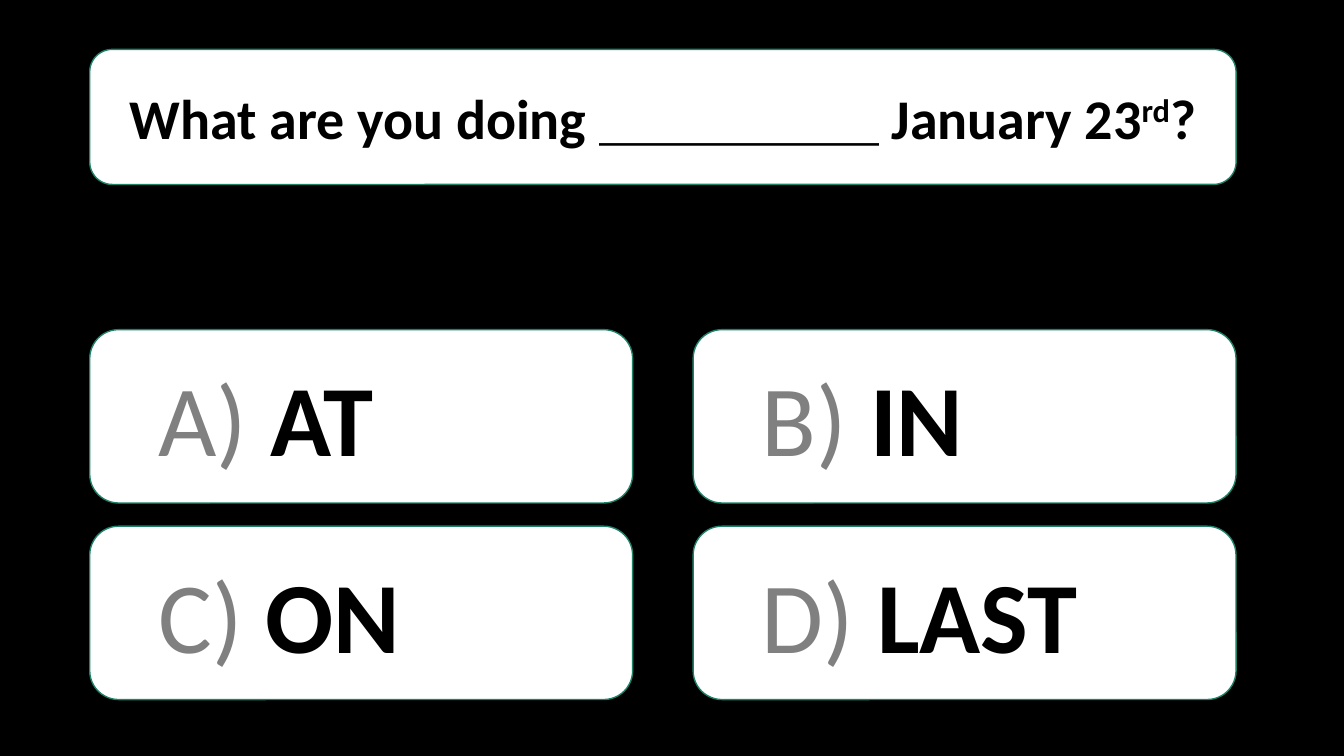
from pptx import Presentation
from pptx.dml.color import RGBColor
from pptx.enum.shapes import MSO_SHAPE as Shape
from pptx.enum.text import MSO_ANCHOR as Anchor, MSO_AUTO_SIZE as AutoSize, PP_ALIGN as Align
from pptx.util import Inches, Pt

COLORS = {"background": "000000", "card": "FFFFFF", "border": "1E8168",
          "letter": "808080", "text": "000000"}
FONT = "Calibri"
LEFT, WIDTH, COLUMN_GAP = 0.89, 11.37, 0.6
COLUMN_WIDTH = (WIDTH - COLUMN_GAP) / 2
QUESTION_TOP, QUESTION_HEIGHT = 0.49, 1.34
ANSWER_TOP, ANSWER_HEIGHT, ROW_STEP = 3.27, 1.72, 1.95
ANSWERS = ["AT", "IN", "ON", "LAST"]


def color(name):
    return RGBColor.from_string(COLORS[name])


class QuizSlide:
    def __init__(self, presentation):
        self.slide = presentation.slides.add_slide(presentation.slide_layouts[5])
        background = self.slide.background.fill
        background.solid()
        background.fore_color.rgb = color("background")

    def card(self, left, top, width, height):
        shape = self.slide.shapes.add_shape(
            Shape.ROUNDED_RECTANGLE, *map(Inches, (left, top, width, height)))
        shape.shadow.inherit = False
        shape.fill.solid()
        shape.fill.fore_color.rgb = color("card")
        shape.line.color.rgb = color("border")
        shape.line.width = Pt(1)
        shape.text_frame.vertical_anchor = Anchor.MIDDLE
        return shape

    def run(self, paragraph, text, size, color_name="text", bold=True, superscript=False):
        run = paragraph.add_run()
        run.text = text
        run.font.name = FONT
        run.font.size = Pt(size)
        run.font.bold = bold
        run.font.color.rgb = color(color_name)
        if superscript:
            run.font._element.set("baseline", "30000")

    def question(self, parts):
        """Lay the title over its card; parts are (text, superscript) pairs."""
        box = (LEFT, QUESTION_TOP, WIDTH, QUESTION_HEIGHT)
        self.card(*box)
        title = self.slide.shapes.title
        title.left, title.top, title.width, title.height = map(Inches, box)
        # Keep the title in front of its card
        self.slide.shapes._spTree.append(title._element)
        frame = title.text_frame
        frame.auto_size = AutoSize.NONE
        frame.word_wrap = True
        frame.vertical_anchor = Anchor.MIDDLE
        paragraph = frame.paragraphs[0]
        paragraph.alignment = Align.CENTER
        for text, superscript in parts:
            self.run(paragraph, text, 40, superscript=superscript)

    def answer(self, index, text):
        row, column = divmod(index, 2)
        shape = self.card(LEFT + column * (COLUMN_WIDTH + COLUMN_GAP),
                          ANSWER_TOP + row * ROW_STEP, COLUMN_WIDTH, ANSWER_HEIGHT)
        paragraph = shape.text_frame.paragraphs[0]
        paragraph.level = 1
        paragraph.alignment = Align.LEFT
        properties = paragraph._p.get_or_add_pPr()
        properties.set("marL", str(Inches(0.5)))
        properties.set("indent", "0")
        self.run(paragraph, f"{'ABCD'[index]}) ", 72, "letter", bold=False)
        self.run(paragraph, text, 72)


def main():
    presentation = Presentation()
    presentation.slide_width = Inches(13.33)
    presentation.slide_height = Inches(7.5)
    quiz = QuizSlide(presentation)
    quiz.question([("What are you doing ＿＿＿＿＿ January 23", False),
                   ("rd", True), ("?", False)])
    for index, text in enumerate(ANSWERS):
        quiz.answer(index, text)
    presentation.save("out.pptx")


if __name__ == "__main__":
    main()
